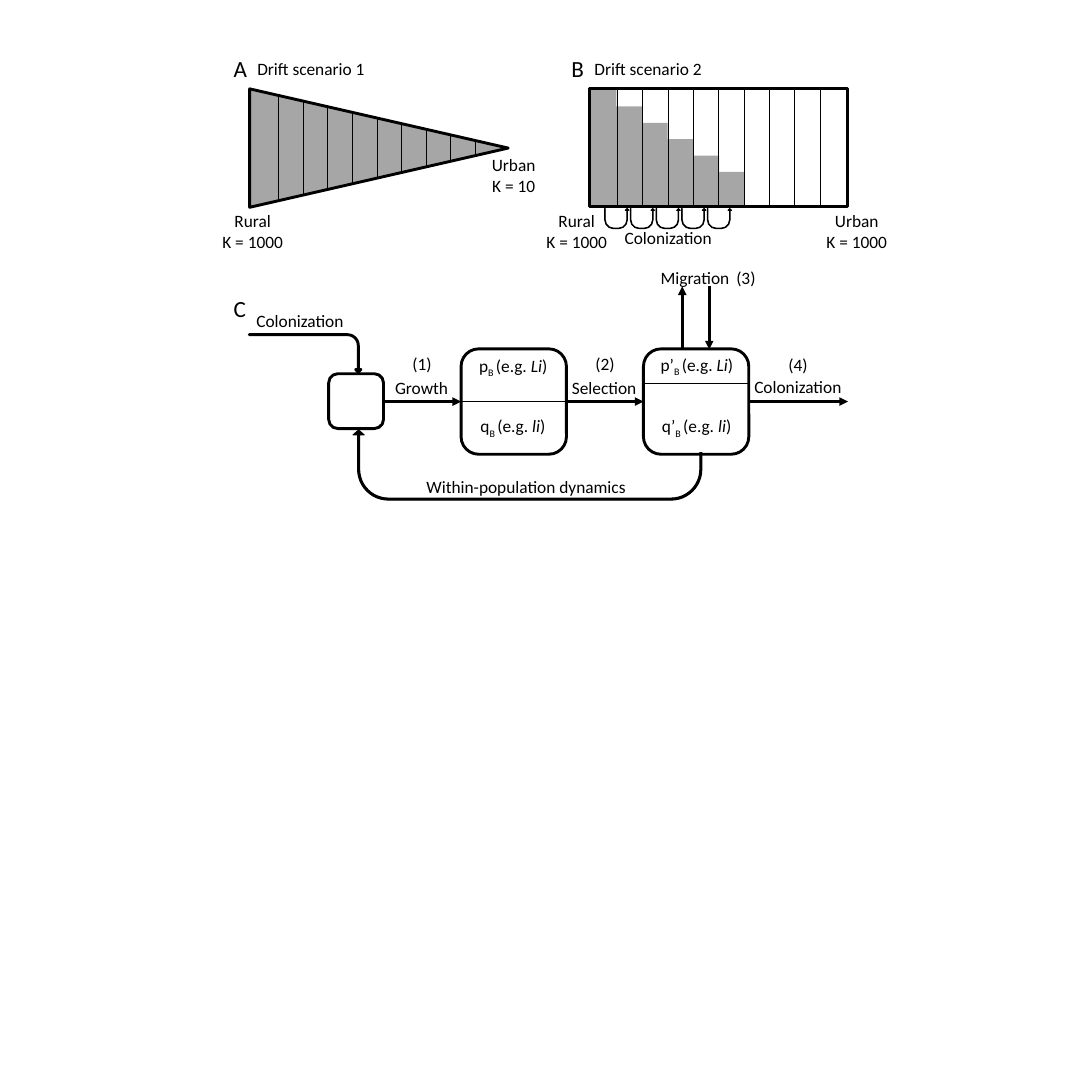
from dataclasses import dataclass

from lxml import etree
from pptx import Presentation
from pptx.dml.color import RGBColor
from pptx.enum.shapes import MSO_CONNECTOR, MSO_SHAPE
from pptx.enum.text import MSO_AUTO_SIZE, PP_ALIGN
from pptx.oxml.ns import qn
from pptx.util import Cm, Pt

STRAIGHT = MSO_CONNECTOR.STRAIGHT
RECTANGLE = MSO_SHAPE.RECTANGLE
ROUNDED = MSO_SHAPE.ROUNDED_RECTANGLE
TRIANGLE = MSO_SHAPE.ISOSCELES_TRIANGLE
U_TURN = MSO_SHAPE.U_TURN_ARROW
BENT = MSO_SHAPE.BENT_ARROW
FIT_TEXT = MSO_AUTO_SIZE.SHAPE_TO_FIT_TEXT
LEFT, CENTER = PP_ALIGN.LEFT, PP_ALIGN.CENTER


@dataclass(frozen=True)
class Theme:
    font: str = "Calibri"
    black: RGBColor = RGBColor(0x00, 0x00, 0x00)
    white: RGBColor = RGBColor(0xFF, 0xFF, 0xFF)
    gray: RGBColor = RGBColor(0xA6, 0xA6, 0xA6)
    blue: RGBColor = RGBColor(0x44, 0x72, 0xC4)
    label: int = 18
    letter: int = 24
    thin: int = 1
    thick: int = 3


THEME = Theme()


def add_figure(slide, kind, frame, fill=None, line=None, weight=THEME.thick,
               rotation=0, adjustments=()):
    figure = slide.shapes.add_shape(kind, *(Cm(value) for value in frame))
    figure.shadow.inherit = False
    figure.rotation = rotation
    for index, value in enumerate(adjustments):
        figure.adjustments[index] = value
    if fill is None:
        figure.fill.background()
    else:
        figure.fill.solid()
        figure.fill.fore_color.rgb = fill
    if line is None:
        figure.line.fill.background()
    else:
        figure.line.color.rgb = line
        figure.line.width = Pt(weight)
    return figure


def add_line(slide, start, end, weight=THEME.thin):
    line = slide.shapes.add_connector(
        STRAIGHT, *(Cm(value) for value in (*start, *end)))
    line.line.color.rgb = THEME.black
    line.line.width = Pt(weight)
    etree.SubElement(line._element.spPr, qn("a:effectLst"))
    return line


def add_arrow(slide, start, end):
    arrow = add_line(slide, start, end, THEME.thick)
    outline = arrow._element.spPr.find(qn("a:ln"))
    etree.SubElement(outline, qn("a:tailEnd"), type="triangle")


def add_span(para, text, size=THEME.label, italic=False, subscript=False):
    span = para.add_run()
    span.text = text
    span.font.name = THEME.font
    span.font.size = Pt(size)
    span.font.color.rgb = THEME.black
    if italic:
        span.font.italic = True
    if subscript:
        span._r.get_or_add_rPr().set("baseline", "-25000")


def add_box(slide, left, top, width, height):
    box = slide.shapes.add_textbox(Cm(left), Cm(top), Cm(width), Cm(height))
    box.text_frame.word_wrap = False
    box.text_frame.auto_size = FIT_TEXT
    return box.text_frame


def add_label(slide, left, top, width, lines, size=THEME.label, align=LEFT):
    height = 1.28 if size == THEME.letter else 0.24 + 0.78 * len(lines)
    frame = add_box(slide, left, top, width, height)
    for index, text in enumerate(lines):
        para = frame.add_paragraph() if index else frame.paragraphs[0]
        para.alignment = align
        add_span(para, text, size)


def add_frequency(slide, left, top, width, symbol, allele):
    para = add_box(slide, left, top, width, 1.02).paragraphs[0]
    add_span(para, symbol)
    add_span(para, "B ", subscript=True)
    add_span(para, "(e.g. ")
    add_span(para, allele, italic=True)
    add_span(para, ")")


def add_heading(slide, left, top, width, letter):
    add_label(slide, left, top, width, [letter], THEME.letter)


def draw_shrinking_populations(slide):
    add_figure(slide, TRIANGLE, (11.66, 0.76, 4.29, 9.35), THEME.gray, rotation=90)
    add_figure(slide, TRIANGLE, (11.71, 0.69, 4.34, 9.47), line=THEME.black,
               rotation=90)
    for index in range(9):
        x = 10.21 + 0.9 * index
        add_line(slide, (x, 3.51 + 0.2 * index), (x, 7.29 - 0.2 * index))
    add_label(slide, 7.87, 7.57, 2.77, ["Rural", "K = 1000"], align=CENTER)
    add_label(slide, 17.75, 5.54, 2.13, ["Urban", "K = 10"], align=CENTER)
    add_heading(slide, 8.31, 1.88, 1.02, "A")
    add_label(slide, 9.14, 2.01, 4.5, ["Drift scenario 1"], align=CENTER)


def draw_serial_founding(slide):
    for index in range(6):
        top = 3.3 + 0.6 * index
        add_figure(slide, RECTANGLE, (21.62 + 0.94 * index, top, 0.96, 7.54 - top),
                   THEME.gray)
    add_figure(slide, RECTANGLE, (21.59, 3.23, 9.47, 4.34), line=THEME.black)
    for index in range(9):
        x = 22.61 + 0.93 * index
        add_line(slide, (x, 3.24), (x, 7.56))
    for index in range(5):
        hop = add_figure(slide, U_TURN, (22.15 + 0.94 * index, 7.64, 0.89, 0.74),
                         THEME.black, THEME.black, THEME.thin,
                         adjustments=(0.03, 0.09, 0.09, 0.44, 1))
        hop._element.spPr.get_or_add_xfrm().set("flipV", "1")
    for left, place in ((19.74, "Rural"), (30, "Urban")):
        add_label(slide, left, 7.57, 2.77, [place, "K = 1000"], align=CENTER)
    add_label(slide, 22.63, 8.2, 3.76, ["Colonization"])
    add_heading(slide, 20.68, 1.88, 1.02, "B")
    add_label(slide, 21.49, 2.01, 4.5, ["Drift scenario 2"], align=CENTER)


def draw_population_cycle(slide):
    for left, top, side in ((12.04, 13.69, 2.01), (16.89, 12.78, 3.86),
                            (23.57, 12.78, 3.86)):
        add_figure(slide, ROUNDED, (left, top, side, side), line=THEME.black)
    add_line(slide, (23.57, 14.05), (27.43, 14.05))
    add_line(slide, (16.9, 14.71), (20.76, 14.71))
    for start, end in ((14.05, 16.89), (20.75, 23.57), (27.43, 31.06)):
        add_arrow(slide, (start, 14.71), (end, 14.71))
    add_arrow(slide, (24.99, 12.78), (24.99, 10.49))
    add_arrow(slide, (25.98, 10.49), (25.98, 12.8))
    add_figure(slide, BENT, (10.49, 10.9, 1.37, 4.09), THEME.blue, THEME.black,
               rotation=90, adjustments=(0, 0.07, 0.07, 0.29))
    add_figure(slide, U_TURN, (12.93, 15.75, 12.78, 2.57), THEME.black,
               THEME.black, THEME.thin, rotation=180,
               adjustments=(0.03, 0.08, 0.07, 0.44, 1))
    add_figure(slide, RECTANGLE, (25.17, 15.04, 1.3, 1.5), THEME.white,
               THEME.white, THEME.thin)
    for left, top, width, text in (
            (9.14, 11.23, 3.76, "Colonization"),
            (14.22, 13.69, 2.49, "Growth"),
            (20.7, 13.69, 2.9, "Selection"),
            (23.95, 9.65, 3.05, "Migration"),
            (27.38, 13.67, 3.76, "Colonization"),
            (15.37, 17.3, 7.9, "Within-population dynamics"),
            (14.86, 12.83, 1.22, "(1)"),
            (21.56, 12.83, 1.22, "(2)"),
            (26.72, 9.65, 1.22, "(3)"),
            (28.63, 12.85, 1.22, "(4)")):
        add_label(slide, left, top, width, [text])
    add_frequency(slide, 17.3, 12.88, 3.1, "p", "Li")
    add_frequency(slide, 23.95, 12.85, 3.23, "p’", "Li")
    add_frequency(slide, 17.35, 15.09, 2.97, "q", "li")
    add_frequency(slide, 24, 15.09, 3.1, "q’", "li")
    add_heading(slide, 8.31, 10.67, 0.97, "C")


def main():
    deck = Presentation()
    deck.slide_width = deck.slide_height = Cm(40)
    page = deck.slides.add_slide(deck.slide_layouts[6])
    draw_shrinking_populations(page)
    draw_serial_founding(page)
    draw_population_cycle(page)
    deck.save("out.pptx")


if __name__ == "__main__":
    main()
